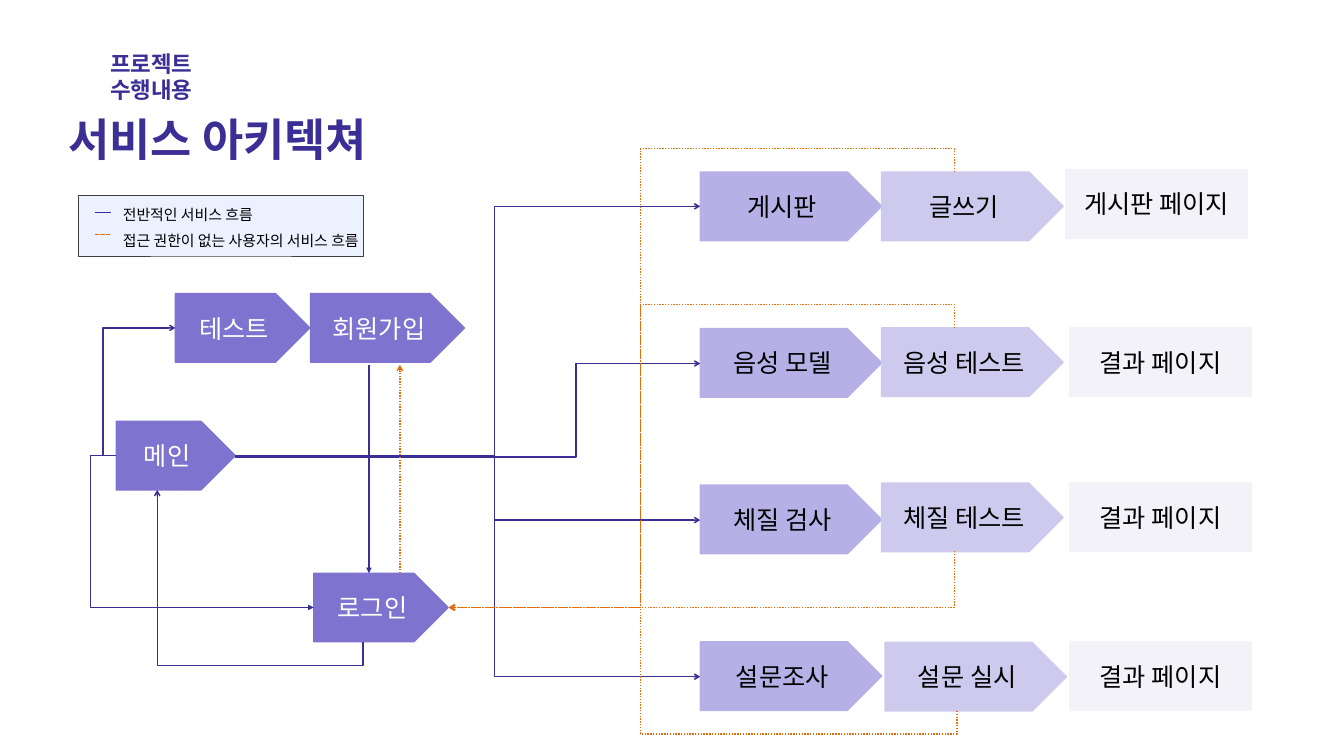
from lxml.etree import SubElement
from pptx import Presentation
from pptx.dml.color import RGBColor
from pptx.enum.dml import MSO_LINE
from pptx.enum.shapes import MSO_CONNECTOR, MSO_SHAPE
from pptx.enum.text import MSO_ANCHOR, PP_ALIGN
from pptx.oxml.ns import qn
from pptx.util import Inches, Pt

FONT = "Noto Sans CJK KR"
INDIGO = RGBColor(0x3B, 0x2F, 0x95)
ORANGE = RGBColor(0xE4, 0x6C, 0x0A)
VIOLET = RGBColor(0x7E, 0x73, 0xCF)
LILAC = RGBColor(0xB6, 0xB0, 0xE6)
PALE = RGBColor(0xCE, 0xCA, 0xEE)
MIST = RGBColor(0xF3, 0xF2, 0xF8)
LEGEND_FILL = RGBColor(0xEB, 0xF1, 0xFF)
GREY = RGBColor(0x40, 0x40, 0x40)
BLACK = RGBColor(0, 0, 0)
WHITE = RGBColor(0xFF, 0xFF, 0xFF)

BOX_W, BOX_H = 2.7, 1.02
ROW_TOP, ROW_STEP = 2.56, 2.33
COL_X = (10.42, 13.12, 15.92)

# Entry steps: label, left, top, width
ENTRY = [
    ("테스트", 2.61, 4.37, 2),
    ("회원가입", 4.62, 4.37, 2.29),
    ("로그인", 4.67, 8.53, 2),
    ("메인", 1.73, 6.27, 1.77),
]
# Feature rows: three labels, then (dx, dy) nudges of the 2nd and 3rd box
FEATURES = [
    (("게시판", "글쓰기", "게시판 페이지"), ((0, 0), (-0.06, -0.04))),
    (("음성 모델", "음성 테스트", "결과 페이지"), ((0, -0.01), (0, -0.01))),
    (("체질 검사", "체질 테스트", "결과 페이지"), ((0, -0.03), (0, -0.03))),
    (("설문조사", "설문 실시", "결과 페이지"), ((0.05, 0.01), (0, 0))),
]
COL_STYLE = [
    (MSO_SHAPE.PENTAGON, LILAC),
    (MSO_SHAPE.PENTAGON, PALE),
    (MSO_SHAPE.RECTANGLE, MIST),
]
LEGEND = [
    ("전반적인 서비스 흐름", 3.16, INDIGO, None),
    ("접근 권한이 없는 사용자의 서비스 흐름", 3.49, ORANGE, MSO_LINE.SQUARE_DOT),
]

MAIN_OUT, MAIN_IN = (3.5, 6.78), (1.73, 6.78)
LOGIN_IN, LOGIN_TIP = (4.67, 9.04), (6.68, 9.04)
TRUNK_X, DENIED_X = 7.36, 9.53

# Normal flow: corner points of each route, arrowhead
FLOWS = [
    ([MAIN_IN, (1.35, 6.78), (1.35, 9.04), LOGIN_IN], "triangle"),
    ([MAIN_IN, (1.53, 6.78), (1.53, 4.88), (2.61, 4.88)], "arrow"),
    ([(5.4, 9.55), (5.4, 9.9), (2.34, 9.9), (2.34, 7.29)], "arrow"),
    *[([MAIN_OUT, (TRUNK_X, 6.78), (TRUNK_X, y), (COL_X[0], y)], "arrow")
      for y in (3.07, 7.74, 10.07)],
    ([(3.49, 6.8), (8.57, 6.8), (8.57, 5.41), (COL_X[0], 5.41)], "arrow"),
    ([(5.49, 5.43), (5.49, 8.53)], "triangle"),
]
# Flow of users without access rights
DENIED = [
    *[[(x, y), (x, turn), (DENIED_X, turn), (DENIED_X, 9.04), LOGIN_TIP]
      for x, y, turn in ((14.2, 2.56, 2.21), (14.2, 4.88, 4.53),
                         (14.24, 10.58, 10.92))],
    [(14.2, 8.2), (14.2, 9.04), LOGIN_TIP],
    [(5.95, 8.53), (5.95, 5.43)],
]


def add_run(p, text, size, color, bold=False):
    r = p.add_run()
    r.text = text
    r.font.name, r.font.size, r.font.bold = FONT, Pt(size), bold
    r.font.color.rgb = color
    SubElement(r.font._element, qn("a:ea")).set("typeface", FONT)


def add_box(s, kind, x, y, w, h, fill, line, line_w=1.5):
    sp = s.shapes.add_shape(kind, *map(Inches, (x, y, w, h)))
    sp.shadow.inherit = False
    sp.fill.solid()
    sp.fill.fore_color.rgb = fill
    sp.line.color.rgb = line
    sp.line.width = Pt(line_w)
    return sp


def add_step(s, kind, label, x, y, w, fill, color):
    tf = add_box(s, kind, x, y, w, BOX_H, fill, fill).text_frame
    tf.word_wrap = True
    tf.vertical_anchor = MSO_ANCHOR.MIDDLE
    p = tf.paragraphs[0]
    p.alignment = PP_ALIGN.CENTER
    add_run(p, label, 27, color)


def add_text(s, x, y, w, h, lines, size, color, bold=False, spacing=None):
    tf = s.shapes.add_textbox(*map(Inches, (x, y, w, h))).text_frame
    tf.word_wrap = True
    for i, line in enumerate(lines):
        p = tf.add_paragraph() if i else tf.paragraphs[0]
        p.line_spacing = spacing
        add_run(p, line, size, color, bold)


def add_route(s, pts, color, dash=None, head=None):
    """Straight or elbow connector through the corner points."""
    (x0, y0), (x1, y1) = pts[0], pts[-1]
    dx, dy = x1 - x0, y1 - y0
    bent = len(pts) > 2
    upright = bent and pts[1][0] == x0
    ends = x0, y0, x1, y1
    if upright:  # drawn sideways, then turned by 90 degrees
        cx, cy = (x0 + x1) / 2, (y0 + y1) / 2
        ends = cx - dy / 2, cy + dx / 2, cx + dy / 2, cy - dx / 2
    kind = MSO_CONNECTOR.ELBOW if bent else MSO_CONNECTOR.STRAIGHT
    c = s.shapes.add_connector(kind, *map(Inches, ends))
    spPr = c._element.spPr
    if upright:
        spPr.find(qn("a:xfrm")).set("rot", "5400000")
    if bent:
        geom = spPr.find(qn("a:prstGeom"))
        geom.set("prst", f"bentConnector{len(pts) - 1}")
        guides = geom.find(qn("a:avLst"))
        if guides is None:
            guides = SubElement(geom, qn("a:avLst"))
        for i, (x, y) in enumerate(pts[1:-2], 1):
            along_y = upright == (i % 2 == 1)
            share = (y - y0) / dy if along_y else (x - x0) / dx
            gd = SubElement(guides, qn("a:gd"))
            gd.set("name", f"adj{i}")
            gd.set("fmla", f"val {round(share * 100000)}")
    c.line.color.rgb = color
    c.line.width = Pt(1.5)
    if dash:
        c.line.dash_style = dash
    if head:
        SubElement(c.line._get_or_add_ln(), qn("a:tailEnd")).set("type", head)
    SubElement(spPr, qn("a:effectLst"))


prs = Presentation()
prs.slide_width, prs.slide_height = Inches(20), Inches(11.25)
s = prs.slides.add_slide(prs.slide_layouts[6])

# Legend frame
add_box(s, MSO_SHAPE.RECTANGLE, 1.17, 2.9, 4.24, 0.91, LEGEND_FILL, GREY, 0.25)

# Entry steps and feature grid
for label, x, y, w in ENTRY:
    add_step(s, MSO_SHAPE.PENTAGON, label, x, y, w, VIOLET, WHITE)
for row, (labels, nudges) in enumerate(FEATURES):
    y = ROW_TOP + row * ROW_STEP
    for label, x, (kind, fill), (dx, dy) in zip(
            labels, COL_X, COL_STYLE, ((0, 0), *nudges)):
        add_step(s, kind, label, x + dx, y + dy, BOX_W, fill, BLACK)

# Flow lines
for pts, head in FLOWS:
    add_route(s, pts, INDIGO, head=head)
for pts in DENIED:
    add_route(s, pts, ORANGE, MSO_LINE.ROUND_DOT, "arrow")

# Headings
add_text(s, 1.54, 0.69, 2.7, 0.5, ["프로젝트 수행내용"], 24, INDIGO, True)
add_text(s, 0.92, 1.61, 4.99, 0.91, ["서비스 아키텍쳐"], 48, INDIGO, True)

# Legend entries
add_text(s, 1.73, 2.87, 5.91, 0.87, [e[0] for e in LEGEND], 16, BLACK, spacing=1.5)
for _, y, color, dash in LEGEND:
    add_route(s, [(1.41, y), (1.65, y)], color, dash)

prs.save("out.pptx")
